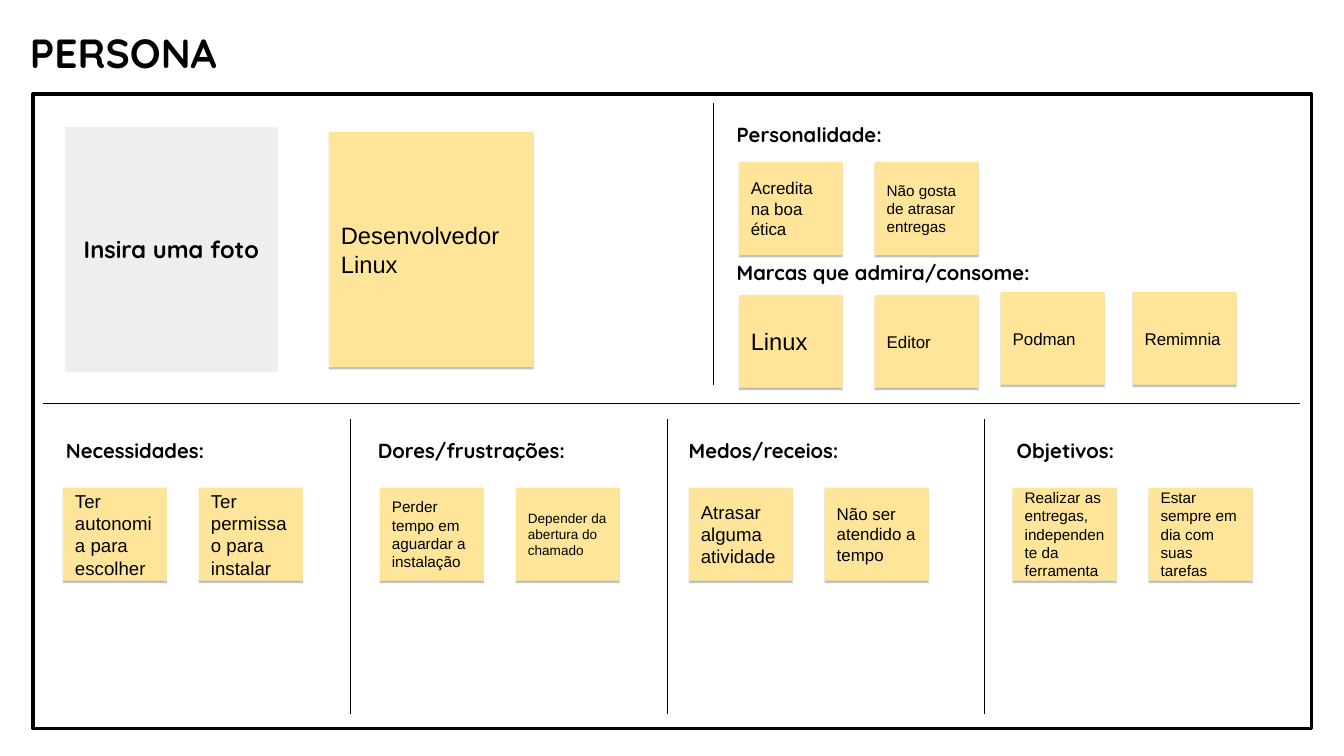
from lxml import etree
from pptx import Presentation
from pptx import util as u
from pptx.dml.color import RGBColor
from pptx.enum import shapes, text
from pptx.oxml import ns

SCALE = 914400 / 122
BLACK, GREY, YELLOW = "000000", "EEEEEE", "FFE599"
HEADING_FONT, NOTE_FONT = "Quicksand", "Arial"
NOTE_WIDTH, NOTE_HEIGHT, NOTE_STEP = 104, 93, 136


def px(length):
    return u.Emu(round(length * SCALE))


def colour(value):
    return RGBColor.from_string(value)


def write(shape, wording, size, font=NOTE_FONT, bold=False, inset=12,
          align=text.PP_ALIGN.LEFT, anchor=text.MSO_ANCHOR.MIDDLE):
    frame = shape.text_frame
    frame.word_wrap = True
    frame.auto_size = text.MSO_AUTO_SIZE.NONE
    frame.vertical_anchor = anchor
    frame.margin_left = frame.margin_right = px(inset)
    frame.margin_top = frame.margin_bottom = px(inset)
    para = frame.paragraphs[0]
    para.alignment = align
    span = para.add_run()
    span.text = wording
    span.font.size = u.Pt(size)
    span.font.name = font
    span.font.bold = bold
    span.font.color.rgb = colour(BLACK)


def add_rectangle(page, box, fill=None, line=None):
    shape = page.shapes.add_shape(shapes.MSO_SHAPE.RECTANGLE, *map(px, box))
    shape.shadow.inherit = False
    if fill:
        shape.fill.solid()
        shape.fill.fore_color.rgb = colour(fill)
    else:
        shape.fill.background()
    if line:
        shape.line.color.rgb = colour(line)
        shape.line.width = u.Pt(2.25)
    else:
        shape.line.fill.background()
    return shape


def add_divider(page, x1, y1, x2, y2):
    line = page.shapes.add_connector(
        shapes.MSO_CONNECTOR.STRAIGHT, px(x1), px(y1), px(x2), px(y2))
    line.line.color.rgb = colour(BLACK)
    line.line.width = u.Pt(0.75)
    etree.SubElement(line._element.spPr, ns.qn("a:effectLst"))


def add_heading(page, left, top, width, wording):
    heading = page.shapes.add_textbox(px(left), px(top), px(width), px(48))
    write(heading, wording, 12, font=HEADING_FONT, bold=True,
          anchor=text.MSO_ANCHOR.TOP)


def add_note(page, box, wording, size):
    note = add_rectangle(page, box, fill=YELLOW)
    effects = note._element.spPr.find(ns.qn("a:effectLst"))
    shadow = etree.SubElement(effects, ns.qn("a:outerShdw"), dist="19050",
                              dir="5400000", algn="bl", rotWithShape="0")
    tint = etree.SubElement(shadow, ns.qn("a:srgbClr"), val=BLACK)
    etree.SubElement(tint, ns.qn("a:alpha"), val="24000")
    write(note, wording, size)


def add_note_row(page, left, top, notes):
    for index, (wording, size) in enumerate(notes):
        box = (left + index * NOTE_STEP, top, NOTE_WIDTH, NOTE_HEIGHT)
        add_note(page, box, wording, size)


def add_title(page, box):
    title = page.shapes.title
    title.left, title.top, title.width, title.height = map(px, box)
    write(title, "PERSONA", 24, font=HEADING_FONT, bold=True, inset=5)


def add_profile(page, box):
    left, top, width, height = box
    photo = add_rectangle(page, (left, top, 213, height), fill=GREY)
    write(photo, "Insira uma foto", 14, font=HEADING_FONT, bold=True,
          align=text.PP_ALIGN.CENTER)
    add_note(page, (left + width - 205, top + 5, 205, height - 10),
             "Desenvolvedor Linux", 14)


def add_character(page, box):
    left, top, width, height = box
    add_heading(page, left, top, width, "Personalidade:")
    add_heading(page, left, top + 138, width, "Marcas que admira/consome:")
    add_note_row(page, left + 14, top + 52, [
        ("Acredita na boa ética", 10),
        ("Não gosta de atrasar entregas", 9),
    ])
    lower = top + height - NOTE_HEIGHT
    add_note_row(page, left + 14, lower, [("Linux", 14), ("Editor", 10)])
    for offset, wording in ((276, "Podman"), (408, "Remimnia")):
        add_note(page, (left + offset, lower - 3, NOTE_WIDTH, NOTE_HEIGHT),
                 wording, 10)


def add_column(page, box, heading, indent, notes):
    left, top, width, height = box
    add_heading(page, left, top, width, heading)
    add_note_row(page, left + indent, top + height - NOTE_HEIGHT, notes)


COLUMNS = [
    (54, "Necessidades:", 9, [
        ("Ter autonomia para escolher", 11),
        ("Ter permissao para instalar", 11),
    ]),
    (366, "Dores/frustrações:", 14, [
        ("Perder tempo em aguardar a instalação", 9),
        ("Depender da abertura do chamado", 8),
    ]),
    (677, "Medos/receios:", 12, [
        ("Atrasar alguma atividade", 11),
        ("Não ser atendido a tempo", 10),
    ]),
    (1005, "Objetivos:", 8, [
        ("Realizar as entregas, independente da ferramenta", 9),
        ("Estar sempre em dia com suas tarefas", 9),
    ]),
]


def add_board(page, box):
    left, top, width, height = box
    add_rectangle(page, box, line=BLACK)
    add_divider(page, left + 681, top + 9, left + 681, top + 291)
    add_divider(page, left + 10, top + 310, left + width - 12, top + 310)
    for index in range(len(COLUMNS) - 1):
        x = left + 318 + index * 317
        add_divider(page, x, top + 325, x, top + height - 15)
    add_profile(page, (left + 32, top + 33, 469, 245))
    add_character(page, (left + 692, top + 16, 576, 278))
    for column_left, heading, indent, notes in COLUMNS:
        add_column(page, (column_left, top + 332, 288, 155),
                   heading, indent, notes)


def main():
    deck = Presentation()
    deck.slide_width, deck.slide_height = u.Inches(11.02), u.Inches(6.2)
    page = deck.slides.add_slide(deck.slide_layouts[5])
    add_title(page, (25, 22, 1126, 61))
    add_board(page, (33, 94, 1279, 635))
    deck.save("out.pptx")


if __name__ == "__main__":
    main()
